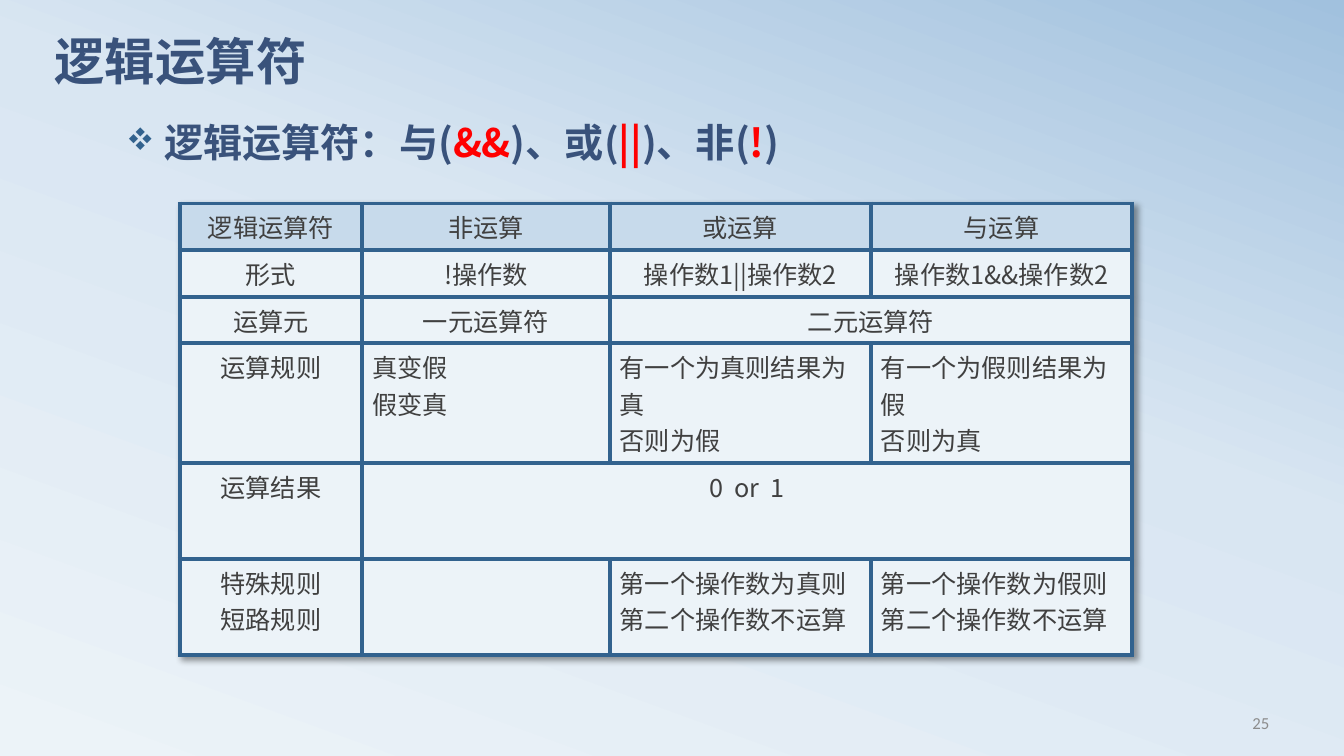
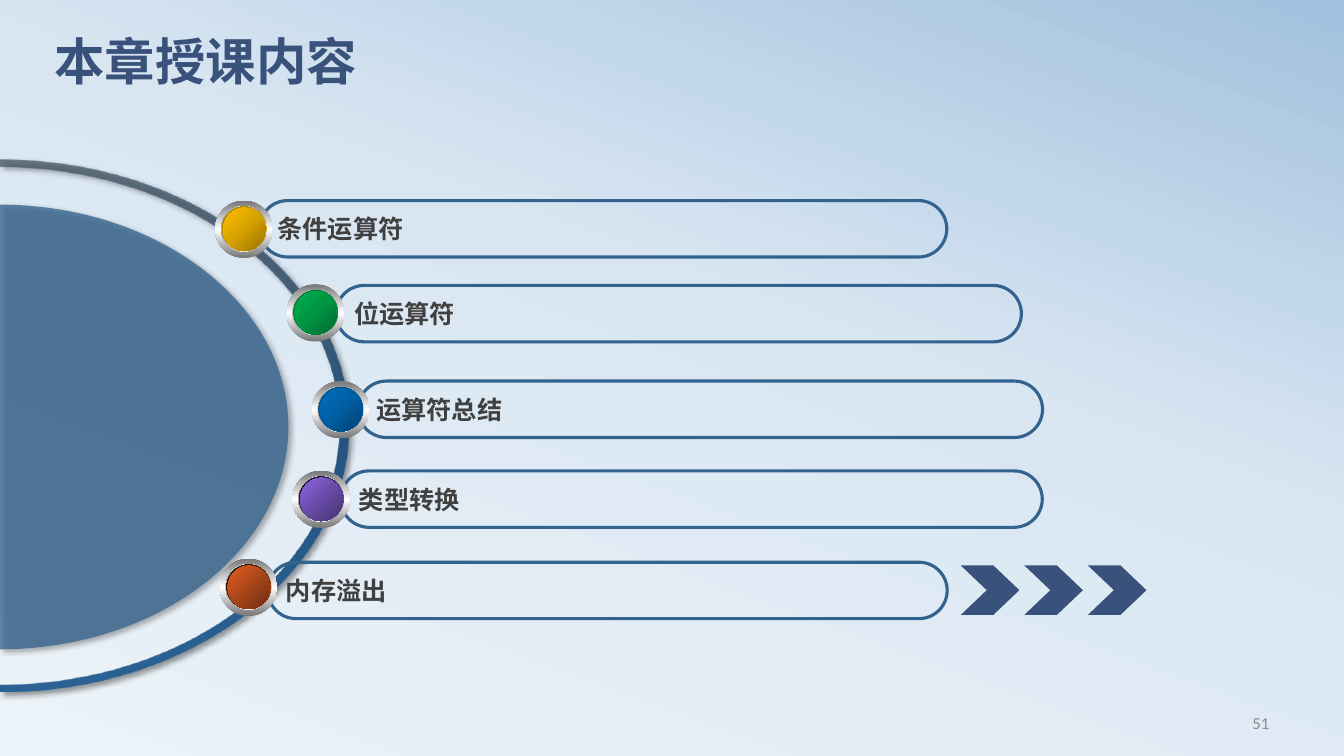
from dataclasses import dataclass
from typing import NamedTuple

from lxml.etree import SubElement
from pptx import Presentation
from pptx.dml.color import RGBColor
from pptx.enum.shapes import MSO_SHAPE as SHAPE
from pptx.enum.text import MSO_ANCHOR as ANCHOR, MSO_AUTO_SIZE as AUTO, PP_ALIGN as ALIGN
from pptx.oxml.ns import qn
from pptx.util import Pt

COLORS = {
    "navy": "39527B", "blue": "32628E", "red": "FF0000", "text": "404040",
    "number": "8C8C8C", "head": "C7DAEB", "cell": "ECF3F8",
}
LATIN, CJK = "Calibri", "Noto Sans CJK SC"
TITLE_BOX = (31.7, 25.9, 864, 67.7)
NUMBER_BOX = (689.8, 501.8, 223.9, 28.8)


class Stop(NamedTuple):
    pos: int
    color: str
    alpha: int = 100


@dataclass(frozen=True)
class Gradient:
    """A linear gradient, or one spreading from the lower right corner if angle is None."""
    stops: tuple[Stop, ...]
    angle: int | None = 45


@dataclass(frozen=True)
class Topic:
    text: str
    pill: tuple[float, float, float]
    badge: tuple[float, float]
    rim: Gradient
    face: Gradient


class Layer(NamedTuple):
    dx: float
    dy: float
    width: float
    height: float
    fill: Gradient


def even(*colors: str, angle: int | None = 45) -> Gradient:
    """Space the colours evenly from 0 to 100 percent."""
    step = 100 // (len(colors) - 1)
    return Gradient(tuple(Stop(i * step, c) for i, c in enumerate(colors)), angle)


BACKGROUND = Gradient((Stop(0, "ECF3F8"), Stop(58, "D9E6F2"), Stop(100, "A1C1DE")), 290)
RING = Gradient((Stop(0, "445462", 75), Stop(50, "24537D"), Stop(100, "2B6295")), 90)
METAL = even("767676", "FFFFFF", "767676", angle=90)
BEVEL = even("A2A2A2", "FFFFFF", "A2A2A2", angle=0)
YELLOW = ("977200", "D7A200", "FFC000")
GREEN = ("00682F", "009443", "00B050")
BLUE = ("004272", "005EA2", "0070C0")
PURPLE = ("8D67E1", "45326D")
ORANGE = ("E35E23", "6E2E11")

TOPICS = [
    Topic("条件运算符", (185.3, 143.3, 491), (153.7, 143.3), even(*YELLOW), even(*YELLOW, angle=None)),
    Topic("位运算符", (240, 203.9, 489.6), (204.8, 203), even(*GREEN), even(*GREEN, angle=None)),
    Topic("运算符总结", (255.8, 272.2, 488.9), (222.8, 272.2), even(*BLUE), even(*BLUE, angle=None)),
    Topic("类型转换", (243.4, 336.4, 501.1), (208.8, 336.2), even("000000", PURPLE[0]), even(*PURPLE)),
    Topic("内存溢出", (191.3, 401.6, 485.3), (157, 399), even("000000", ORANGE[0]), even(*ORANGE)),
]
OPERATORS = [
    ["逻辑运算符", "非运算", "或运算", "与运算"],
    ["形式", "!操作数", "操作数1||操作数2", "操作数1&&操作数2"],
    ["运算元", "一元运算符", "二元运算符", ""],
    ["运算规则", "真变假\n假变真", "有一个为真则结果为真\n否则为假", "有一个为假则结果为假\n否则为真"],
    ["运算结果", "0  or  1", "", ""],
    ["特殊规则\n短路规则", "", "第一个操作数为真则第二个操作数不运算", "第一个操作数为假则第二个操作数不运算"],
]
COL_WIDTHS = [130.3, 176.8, 186.6, 186.7]
ROW_HEIGHTS = [33.3, 33.3, 33.3, 85.6, 68.6, 68.6]
MERGES = [((2, 2), (2, 3)), ((4, 1), (4, 3))]
LEFT_ALIGNED_ROWS = (3, 5)


def rgb(name: str) -> RGBColor:
    return RGBColor.from_string(COLORS[name])


def add_color(parent, color: str, alpha: int = 100) -> None:
    clr = SubElement(parent, qn("a:srgbClr"), val=color)
    if alpha < 100:
        SubElement(clr, qn("a:alpha"), val=str(alpha * 1000))


def fill_gradient(fill, owner, gradient: Gradient) -> None:
    fill.gradient()
    grad = next(owner.iter(qn("a:gradFill")))
    del grad[:]
    grad.set("rotWithShape", "1")
    stops = SubElement(grad, qn("a:gsLst"))
    for stop in gradient.stops:
        gs = SubElement(stops, qn("a:gs"), pos=str(stop.pos * 1000))
        add_color(gs, stop.color, stop.alpha)
    if gradient.angle is None:
        circle = SubElement(grad, qn("a:path"), {"path": "circle"})
        SubElement(circle, qn("a:fillToRect"), l="100000", t="100000")
    else:
        SubElement(grad, qn("a:lin"), ang=str(gradient.angle * 60000), scaled="0")


def add_shadow(effects) -> None:
    shadow = SubElement(effects, qn("a:outerShdw"), blurRad=str(Pt(4)), dist=str(Pt(3)),
                        dir=str(45 * 60000), algn="tl", rotWithShape="0")
    add_color(shadow, "000000", 40)


def add_run(p, text: str, size: float, color: str, bold: bool = False, font: str = CJK) -> None:
    r = p.add_run()
    r.text = text
    r.font.size, r.font.bold, r.font.name = Pt(size), bold, font
    r.font.color.rgb = rgb(color)
    SubElement(r.font._element, qn("a:ea"), typeface=CJK)


def add_textbox(slide, box: tuple[float, ...]):
    tf = slide.shapes.add_textbox(*map(Pt, box)).text_frame
    tf.word_wrap = True
    return tf


def add_slide(prs, title: str, number: str):
    slide = prs.slides.add_slide(prs.slide_layouts[5])
    sp = slide.shapes.title
    sp.left, sp.top, sp.width, sp.height = map(Pt, TITLE_BOX)
    tf = sp.text_frame
    tf.vertical_anchor, tf.auto_size, tf.word_wrap = ANCHOR.TOP, AUTO.NONE, True
    p = tf.paragraphs[0]
    p.alignment, p.line_spacing = ALIGN.LEFT, 0.8
    add_run(p, title, 36, "navy", True, LATIN)
    tf = add_textbox(slide, NUMBER_BOX)
    tf.vertical_anchor = ANCHOR.MIDDLE
    p = tf.paragraphs[0]
    p.alignment = ALIGN.RIGHT
    add_run(p, number, 12, "number", font=LATIN)
    return slide


def add_shape(shapes, kind, box: tuple[float, ...]):
    sp = shapes.add_shape(kind, *map(Pt, box))
    sp.shadow.inherit = False
    sp.line.fill.background()
    return sp


def add_heading(slide) -> None:
    p = add_textbox(slide, (83.2, 85, 648, 43.2)).paragraphs[0]
    p.level, p.line_spacing, p.space_before = 1, 0.9, Pt(6)
    pPr = p._p.get_or_add_pPr()
    pPr.set("marL", str(Pt(27)))
    pPr.set("indent", str(-Pt(27)))
    add_color(SubElement(pPr, qn("a:buClr")), COLORS["blue"])
    SubElement(pPr, qn("a:buSzPct"), val="80000")
    SubElement(pPr, qn("a:buFont"), typeface="Wingdings", charset="2")
    SubElement(pPr, qn("a:buChar"), char="v")
    parts = ["逻辑运算符：与(", "&&", ")、或(", "||", ")、非(", "!", ")"]
    for i, part in enumerate(parts):
        add_run(p, part, 28, "red" if i % 2 else "navy", True)


def set_borders(cell) -> None:
    tcPr = cell._tc.get_or_add_tcPr()
    for i, side in enumerate(("lnL", "lnR", "lnT", "lnB")):
        ln = SubElement(tcPr, qn(f"a:{side}"), w=str(Pt(3)))
        add_color(SubElement(ln, qn("a:solidFill")), COLORS["blue"])
        tcPr.insert(i, ln)


def add_operator_table(slide) -> None:
    frame = slide.shapes.add_table(len(ROW_HEIGHTS), len(COL_WIDTHS), Pt(128.4), Pt(145.4),
                                   Pt(sum(COL_WIDTHS)), Pt(sum(ROW_HEIGHTS)))
    table = frame.table
    table.horz_banding = False
    tblPr = table._tbl.tblPr
    effects = SubElement(tblPr, qn("a:effectLst"))
    tblPr.insert(0, effects)
    add_shadow(effects)
    for col, width in zip(table.columns, COL_WIDTHS):
        col.width = Pt(width)
    for r, (row, height) in enumerate(zip(table.rows, ROW_HEIGHTS)):
        row.height = Pt(height)
        for c, text in enumerate(OPERATORS[r]):
            cell = table.cell(r, c)
            cell.fill.solid()
            cell.fill.fore_color.rgb = rgb("cell" if r else "head")
            set_borders(cell)
            tf = cell.text_frame
            for i, line in enumerate(text.split("\n") if text else []):
                p = tf.add_paragraph() if i else tf.paragraphs[0]
                p.alignment = ALIGN.LEFT if c and r in LEFT_ALIGNED_ROWS else ALIGN.CENTER
                add_run(p, line, 18, "text")
    for first, last in MERGES:
        table.cell(*first).merge(table.cell(*last))


def half_ellipse(cy: float, rx: float, ry: float) -> list[tuple[int, int]]:
    """Bezier points of the right half, from top to bottom, centred on the slide's left edge."""
    k = 0.55
    units = [(0, -1), (k, -1), (1, -k), (1, 0), (1, k), (k, 1), (0, 1)]
    return [(Pt(rx * x), Pt(cy + ry * y)) for x, y in units]


def add_outline(slide, *halves: list[tuple[int, int]]):
    """Join half ellipses into one closed outline of curves."""
    points = [point for half in halves for point in half]
    builder = slide.shapes.build_freeform(*points[0], scale=1.0)
    builder.add_line_segments(points[1:], close=True)
    sp = builder.convert_to_shape()
    nodes = [None, *sp.element.iter(qn("a:lnTo"))]
    for start in range(0, len(points), 7):
        for i in (start + 1, start + 4):
            curve = SubElement(nodes[i].getparent(), qn("a:cubicBezTo"))
            nodes[i].addprevious(curve)
            for node in nodes[i:i + 3]:
                curve.append(node[0])
                node.getparent().remove(node)
    sp.line.fill.background()
    sp.shadow.inherit = False
    add_shadow(next(sp.element.iter(qn("a:effectLst"))))
    return sp


def add_dial(slide) -> None:
    ring = add_outline(slide, half_ellipse(304, 242, 184.5), half_ellipse(304, 249, 190)[::-1])
    fill_gradient(ring.fill, ring.element, RING)
    disc = add_outline(slide, half_ellipse(305, 206, 158.8))
    disc.fill.solid()
    disc.fill.fore_color.rgb = rgb("blue")
    SubElement(next(disc.element.iter(qn("a:srgbClr"))), qn("a:alpha"), val="75000")


def add_pill(slide, topic: Topic) -> None:
    sp = add_shape(slide.shapes, SHAPE.ROUNDED_RECTANGLE, (*topic.pill, 40.3))
    sp.adjustments[0] = 0.5
    sp.fill.background()
    sp.line.color.rgb, sp.line.width = rgb("blue"), Pt(2.25)
    tf = sp.text_frame
    tf.word_wrap, tf.vertical_anchor = True, ANCHOR.MIDDLE
    p = tf.paragraphs[0]
    p.alignment = ALIGN.LEFT
    add_run(p, topic.text, 18, "text", True)


def add_badge(slide, topic: Topic) -> None:
    layers = [Layer(0, 0, 41, 41, METAL), Layer(4, 4, 33, 32.4, BEVEL),
              Layer(4.9, 4.3, 31.5, 31.7, topic.rim), Layer(5.6, 5, 30.4, 31, topic.face)]
    left, top = topic.badge
    shapes = slide.shapes.add_group_shape().shapes
    for dx, dy, width, height, fill in layers:
        oval = add_shape(shapes, SHAPE.OVAL, (left + dx, top + dy, width, height))
        fill_gradient(oval.fill, oval.element, fill)


def add_chevrons(slide) -> None:
    shapes = slide.shapes.add_group_shape().shapes
    for i in range(3):
        sp = add_shape(shapes, SHAPE.CHEVRON, (686.3 + 45.4 * i, 403.9, 41.8, 35.3))
        sp.adjustments[0] = 0.525
        sp.fill.solid()
        sp.fill.fore_color.rgb = rgb("navy")


def main() -> None:
    prs = Presentation()
    prs.slide_width, prs.slide_height = Pt(960), Pt(540)
    master = prs.slide_master
    fill_gradient(master.background.fill, master.element, BACKGROUND)
    slide = add_slide(prs, "逻辑运算符", "25")
    add_heading(slide)
    add_operator_table(slide)
    slide = add_slide(prs, "本章授课内容", "51")
    add_dial(slide)
    for draw in (add_pill, add_badge):
        for topic in reversed(TOPICS):
            draw(slide, topic)
    add_chevrons(slide)
    prs.save("out.pptx")


if __name__ == "__main__":
    main()
